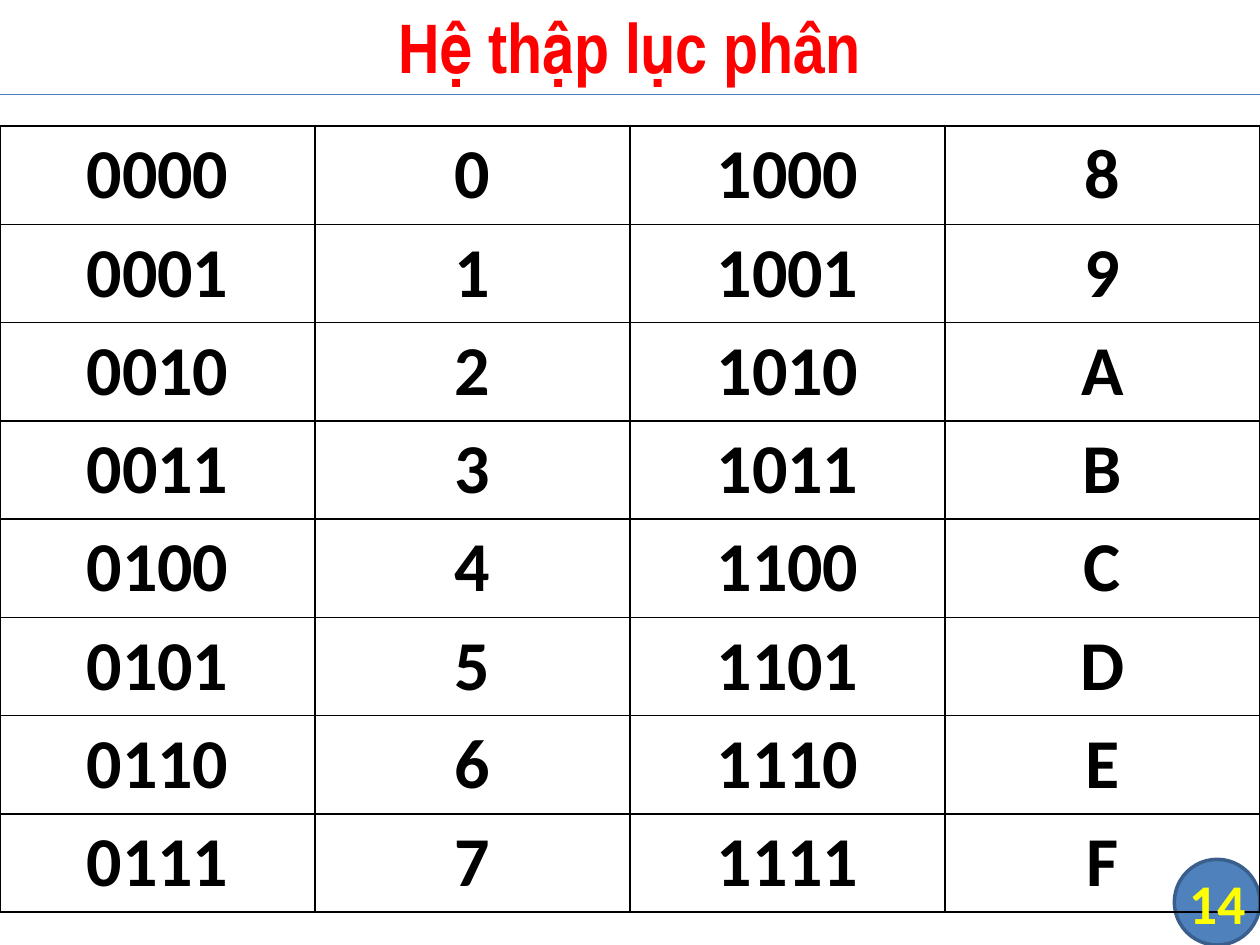
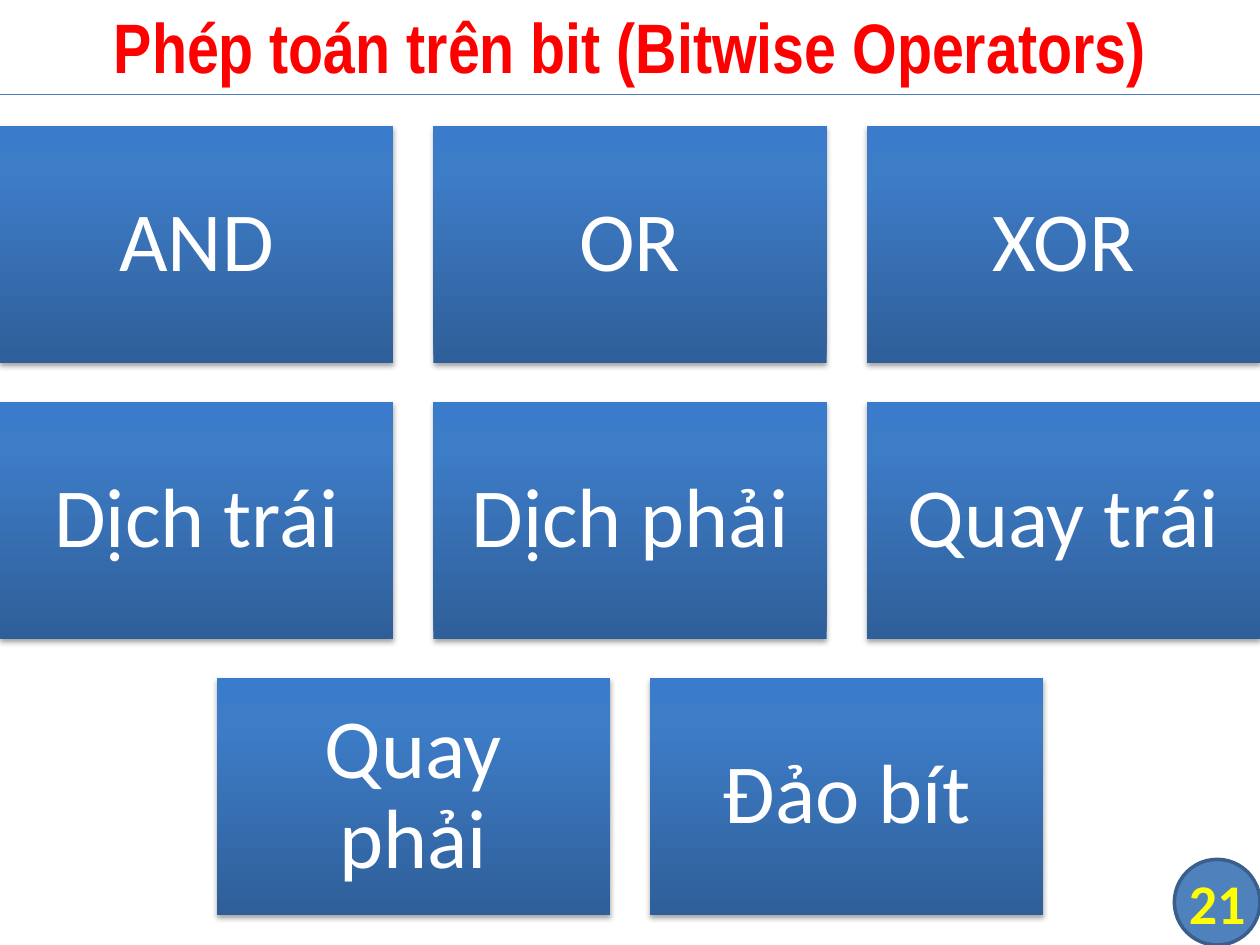
"""Build two slides: hexadecimal digits and bitwise operators."""
from copy import deepcopy

from lxml import etree
from pptx import Presentation
from pptx import util as u
from pptx.dml.color import RGBColor
from pptx.enum import shapes, text
from pptx.oxml.ns import qn

COLOURS = {
    "title": "FF0000", "rule": "4B7EBC", "badge": "4F81BD", "badge_edge": "3A5F8C",
    "number": "FFFF00", "grid": "000000", "digit": "000000", "operator": "FFFFFF",
}
BLOCK_GRADIENT = [(0, "2F5F99"), (0.8, "3D7CC7"), (1, "3A7CCB")]
SLIDES = [("Hệ thập lục phân", "14"), ("Phép toán trên bit (Bitwise Operators)", "21")]
OPERATORS = [
    ["AND", "OR", "XOR"],
    ["Dịch trái", "Dịch phải", "Quay trái"],
    ["Quay phải", "Đảo bít"],
]
WIDTH, TOP = 10, 1
BLOCK_WIDTH, BLOCK_HEIGHT = 3.12, 1.88
STEP_X, STEP_Y = 3.44, 2.19
BADGE = [u.Inches(value) for value in (9.32, 6.82, 0.68, 0.68)]


def rgb(name):
    return RGBColor.from_string(COLOURS[name])


def write(frame, words, size, colour, font="Calibri", bold=True, inset=None):
    frame.text = words
    frame.word_wrap = True
    frame.auto_size = text.MSO_AUTO_SIZE.NONE
    frame.vertical_anchor = text.MSO_ANCHOR.MIDDLE
    if inset is not None:
        frame.margin_left = frame.margin_right = u.Inches(inset)
        frame.margin_top = frame.margin_bottom = u.Inches(inset)
    para = frame.paragraphs[0]
    para.alignment = text.PP_ALIGN.CENTER
    para.font.name, para.font.size, para.font.bold = font, u.Pt(size), bold
    para.font.color.rgb = rgb(colour)
    return para


deck = Presentation()
deck.slide_width, deck.slide_height = u.Inches(WIDTH), u.Inches(7.5)

pages = []
for heading, number in SLIDES:
    page = deck.slides.add_slide(deck.slide_layouts[5])
    pages.append(page)

    title = page.shapes.title
    title.left, title.top = u.Inches(0), u.Inches(-0.03)
    title.width, title.height = u.Inches(WIDTH), u.Inches(0.78)
    write(title.text_frame, heading, 40, "title", font="Arial Narrow")

    badge = page.shapes.add_shape(shapes.MSO_SHAPE.FLOWCHART_CONNECTOR, *BADGE)
    badge.shadow.inherit = False
    badge.fill.solid()
    badge.fill.fore_color.rgb = rgb("badge")
    badge.line.color.rgb = rgb("badge_edge")
    badge.line.width = u.Pt(2)

    rule = page.shapes.add_connector(
        shapes.MSO_CONNECTOR.STRAIGHT, 0, u.Inches(0.75), u.Inches(WIDTH), u.Inches(0.75))
    rule.line.color.rgb = rgb("rule")
    rule.line.width = u.Pt(0.75)
    etree.SubElement(rule._element.spPr, qn("a:effectLst"))

hex_page, bitwise_page = pages

table = hex_page.shapes.add_table(
    8, 4, 0, u.Inches(TOP), u.Inches(WIDTH), u.Inches(8 * 0.78)).table
table.first_row = table.horz_banding = False
for value, row in enumerate(table.rows):
    digits = [f"{value:04b}", f"{value:X}", f"{value + 8:04b}", f"{value + 8:X}"]
    for cell, digit in zip(row.cells, digits):
        cell.text = digit
        cell.fill.background()
        para = cell.text_frame.paragraphs[0]
        para.alignment = text.PP_ALIGN.CENTER
        para.font.name, para.font.size, para.font.bold = "Calibri", u.Pt(40), True
        para.font.color.rgb = rgb("digit")
        properties = cell._tc.get_or_add_tcPr()
        for position, side in enumerate(("a:lnL", "a:lnR", "a:lnT", "a:lnB")):
            border = etree.Element(qn(side), w=str(u.Pt(1)))
            fill = etree.SubElement(border, qn("a:solidFill"))
            etree.SubElement(fill, qn("a:srgbClr"), val=COLOURS["grid"])
            properties.insert(position, border)

for row, names in enumerate(OPERATORS):
    row_width = (len(names) - 1) * STEP_X + BLOCK_WIDTH
    for column, name in enumerate(names):
        block = bitwise_page.shapes.add_shape(
            shapes.MSO_SHAPE.RECTANGLE,
            u.Inches((WIDTH - row_width) / 2 + column * STEP_X),
            u.Inches(TOP + row * STEP_Y),
            u.Inches(BLOCK_WIDTH), u.Inches(BLOCK_HEIGHT))
        block.line.fill.background()

        block.fill.gradient()
        block.fill.gradient_angle = 90
        stops = block._element.spPr.find(qn("a:gradFill")).find(qn("a:gsLst"))
        stops.append(deepcopy(stops[-1]))
        for stop, (position, colour) in zip(block.fill.gradient_stops, BLOCK_GRADIENT):
            stop.position = position
            stop.color.rgb = RGBColor.from_string(colour)

        block.shadow.inherit = False
        effects = block._element.spPr.find(qn("a:effectLst"))
        shadow = etree.SubElement(
            effects, qn("a:outerShdw"), blurRad=str(u.Pt(3.1)), dist=str(u.Pt(1.8)),
            dir="5400000", rotWithShape="0")
        black = etree.SubElement(shadow, qn("a:srgbClr"), val="000000")
        etree.SubElement(black, qn("a:alpha"), val="35000")

        para = write(block.text_frame, name, 48, "operator", bold=False, inset=0.22)
        para.line_spacing = 0.9

for page, (heading, number) in zip(pages, SLIDES):
    box = page.shapes.add_textbox(*BADGE)
    write(box.text_frame, number, 32, "number", inset=0)

deck.save("out.pptx")
